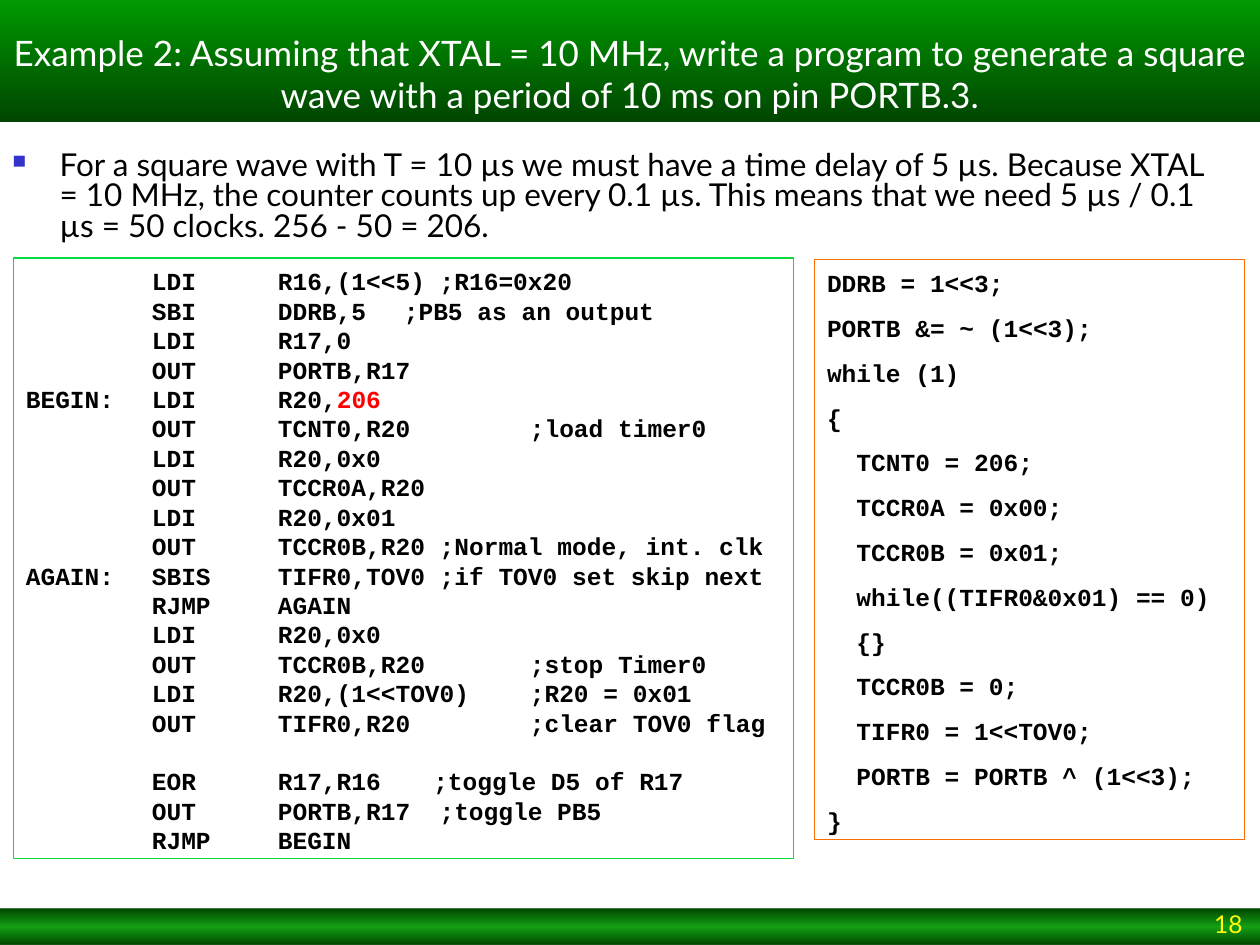
from dataclasses import dataclass

from lxml.etree import SubElement
from pptx import Presentation
from pptx.dml.color import RGBColor
from pptx.enum.shapes import MSO_SHAPE as Preset
from pptx.enum.text import MSO_ANCHOR as Anchor, PP_ALIGN as Align
from pptx.oxml.ns import qn
from pptx.util import Pt

WHITE = RGBColor(0xFF, 0xFF, 0xFF)
BLACK = RGBColor(0x00, 0x00, 0x00)
RED = RGBColor(0xFF, 0x00, 0x00)
YELLOW = RGBColor(0xFF, 0xFB, 0x0B)
BLUE = RGBColor(0x33, 0x33, 0xCC)
GREEN = RGBColor(0x00, 0x99, 0x00)
DARK_GREEN = RGBColor(0x00, 0x46, 0x00)
ASSEMBLY_LINE = RGBColor(0x0A, 0xDA, 0x3C)
C_LINE = RGBColor(0xFA, 0x6D, 0x04)

TEXT_FONT, CODE_FONT = "Lato", "Courier New"
CODE_SIZE, CODE_PITCH = 14, 16.8
TAB = 72
CODE_INDENT = 16.8  # two characters of code


@dataclass
class Box:
    left: float
    top: float
    width: float
    height: float

    def lengths(self) -> tuple:
        return Pt(self.left), Pt(self.top), Pt(self.width), Pt(self.height)


@dataclass
class Stop:
    position: int
    color: RGBColor
    opacity: int = 100


@dataclass
class Instruction:
    mnemonic: str
    operands: str
    comment: str = ""
    label: str = ""
    highlight: str = ""
    comment_tab: float = 3 * TAB
    space_before: float = 0


@dataclass
class Statement:
    text: str
    level: int = 0


ASSEMBLY = [
    Instruction("LDI", "R16,(1<<5) ;R16=0x20"),
    Instruction("SBI", "DDRB,5", ";PB5 as an output"),
    Instruction("LDI", "R17,0"),
    Instruction("OUT", "PORTB,R17"),
    Instruction("LDI", "R20,", label="BEGIN:", highlight="206"),
    Instruction("OUT", "TCNT0,R20", ";load timer0", comment_tab=4 * TAB),
    Instruction("LDI", "R20,0x0"),
    Instruction("OUT", "TCCR0A,R20"),
    Instruction("LDI", "R20,0x01"),
    Instruction("OUT", "TCCR0B,R20 ;Normal mode, int. clk"),
    Instruction("SBIS", "TIFR0,TOV0 ;if TOV0 set skip next", label="AGAIN:"),
    Instruction("RJMP", "AGAIN"),
    Instruction("LDI", "R20,0x0"),
    Instruction("OUT", "TCCR0B,R20", ";stop Timer0", comment_tab=4 * TAB),
    Instruction("LDI", "R20,(1<<TOV0)", ";R20 = 0x01", comment_tab=4 * TAB),
    Instruction("OUT", "TIFR0,R20", ";clear TOV0 flag", comment_tab=4 * TAB),
    Instruction("EOR", "R17,R16", ";toggle D5 of R17", comment_tab=232.8,
                space_before=CODE_PITCH),
    Instruction("OUT", "PORTB,R17", ";toggle PB5", comment_tab=236.4),
    Instruction("RJMP", "BEGIN"),
]

C_CODE = [
    Statement("DDRB = 1<<3;"),
    Statement("PORTB &= ~ (1<<3);"),
    Statement("while (1)"),
    Statement("{"),
    Statement("TCNT0 = 206;", 1),
    Statement("TCCR0A = 0x00;", 1),
    Statement("TCCR0B = 0x01;", 1),
    Statement("while((TIFR0&0x01) == 0)", 1),
    Statement("{}", 1),
    Statement("TCCR0B = 0;", 1),
    Statement("TIFR0 = 1<<TOV0;", 1),
    Statement("PORTB = PORTB ^ (1<<3);", 1),
    Statement("}"),
]


def add_run(paragraph, text: str, size: float, color: RGBColor,
            font: str = TEXT_FONT, bold: bool = False) -> None:
    run = paragraph.add_run()
    run.text = text
    run.font.name, run.font.size, run.font.bold = font, Pt(size), bold
    run.font.color.rgb = color


def set_frame(shape, anchor: Anchor, top_inset: float = 3.6):
    frame = shape.text_frame
    frame.word_wrap = True
    frame.vertical_anchor = anchor
    frame.margin_left = frame.margin_right = Pt(7.2)
    frame.margin_top, frame.margin_bottom = Pt(top_inset), Pt(3.6)
    return frame


def add_rectangle(slide, box: Box):
    shape = slide.shapes.add_shape(Preset.RECTANGLE, *box.lengths())
    shape.shadow.inherit = False
    shape.fill.background()
    shape.line.fill.background()
    return shape


def add_gradient_bar(slide, box: Box, stops: list[Stop]):
    shape = add_rectangle(slide, box)
    shape.fill.gradient()
    gradient = shape.element.spPr.find(qn("a:gradFill"))
    stop_list = gradient.find(qn("a:gsLst"))
    for old_stop in list(stop_list):
        stop_list.remove(old_stop)
    for stop in stops:
        entry = SubElement(stop_list, qn("a:gs"), pos=str(stop.position * 1000))
        color = SubElement(entry, qn("a:srgbClr"), val=str(stop.color))
        if stop.opacity < 100:
            SubElement(color, qn("a:alpha"), val=str(stop.opacity * 1000))
    shape.fill.gradient_angle = 270  # top to bottom
    return shape


def add_code_box(slide, box: Box, line_color: RGBColor):
    shape = add_rectangle(slide, box)
    shape.line.color.rgb = line_color
    shape.line.width = Pt(0.75)
    return set_frame(shape, Anchor.TOP, top_inset=4.8)


def add_code_line(frame, index: int, space_before: float):
    paragraph = frame.add_paragraph() if index else frame.paragraphs[0]
    paragraph.alignment = Align.LEFT
    paragraph.line_spacing = Pt(CODE_PITCH)
    paragraph.space_before = Pt(space_before)
    return paragraph


def add_code_run(paragraph, text: str, color: RGBColor = BLACK) -> None:
    add_run(paragraph, text, CODE_SIZE, color, CODE_FONT, bold=True)


def set_tabs(paragraph, positions: list[float]) -> None:
    tab_list = SubElement(paragraph._p.get_or_add_pPr(), qn("a:tabLst"))
    for position in positions:
        SubElement(tab_list, qn("a:tab"), pos=str(Pt(position)), algn="l")


def set_square_bullet(paragraph, indent: float) -> None:
    properties = paragraph._p.get_or_add_pPr()
    properties.set("marL", str(Pt(indent)))
    properties.set("indent", str(Pt(-indent)))
    SubElement(SubElement(properties, qn("a:buClr")), qn("a:srgbClr"), val=str(BLUE))
    SubElement(properties, qn("a:buSzPct"), val="60000")
    SubElement(properties, qn("a:buChar"), char="■")


def main() -> None:
    presentation = Presentation()
    presentation.slide_width, presentation.slide_height = Pt(720), Pt(540)
    slide = presentation.slides.add_slide(presentation.slide_layouts[6])

    # Footer bar and title bar
    add_gradient_bar(slide, Box(0, 519, 720, 21),
                     [Stop(0, DARK_GREEN), Stop(50, GREEN, 92), Stop(100, DARK_GREEN)])
    title = add_gradient_bar(slide, Box(0, 0, 720, 69.8),
                             [Stop(0, GREEN), Stop(100, DARK_GREEN)])
    paragraph = set_frame(title, Anchor.BOTTOM).paragraphs[0]
    paragraph.alignment = Align.CENTER
    add_run(paragraph, "Example 2: Assuming that XTAL = 10 MHz, write a program to generate "
            "a square wave with a period of 10 ms on pin PORTB.3.", 20, WHITE)

    # Explanation
    explanation = slide.shapes.add_textbox(*Box(0, 83.5, 705, 60.5).lengths())
    paragraph = set_frame(explanation, Anchor.TOP).paragraphs[0]
    paragraph.line_spacing, paragraph.space_before = 0.8, Pt(4.5)
    set_square_bullet(paragraph, 27)
    add_run(paragraph, "For a square wave with T = 10 µs we must have a time delay of 5 µs. "
            "Because XTAL = 10 MHz, the counter counts up every 0.1 µs. This means that we "
            "need 5 µs / 0.1 µs = 50 clocks. 256 - 50 = 206.", 18, BLACK)

    # Assembly program
    frame = add_code_box(slide, Box(7.7, 147.4, 445.6, 343.2), ASSEMBLY_LINE)
    for index, line in enumerate(ASSEMBLY):
        paragraph = add_code_line(frame, index, line.space_before)
        set_tabs(paragraph, [TAB, 2 * TAB, line.comment_tab])
        cells = [line.label, line.mnemonic, line.operands]
        add_code_run(paragraph, "\t".join(cells + [line.comment] * bool(line.comment)))
        if line.highlight:
            add_code_run(paragraph, line.highlight, RED)

    # C program
    frame = add_code_box(slide, Box(465.5, 148.5, 245.8, 331.2), C_LINE)
    for index, statement in enumerate(C_CODE):
        paragraph = add_code_line(frame, index, 8.8)
        paragraph._p.get_or_add_pPr().set("marL", str(Pt(statement.level * CODE_INDENT)))
        add_code_run(paragraph, statement.text)

    # Slide number
    number = slide.shapes.add_textbox(*Box(563.8, 519.8, 153.4, 20.2).lengths())
    paragraph = set_frame(number, Anchor.BOTTOM).paragraphs[0]
    paragraph.alignment = Align.RIGHT
    add_run(paragraph, "18", 14, YELLOW)

    presentation.save("out.pptx")


if __name__ == "__main__":
    main()
